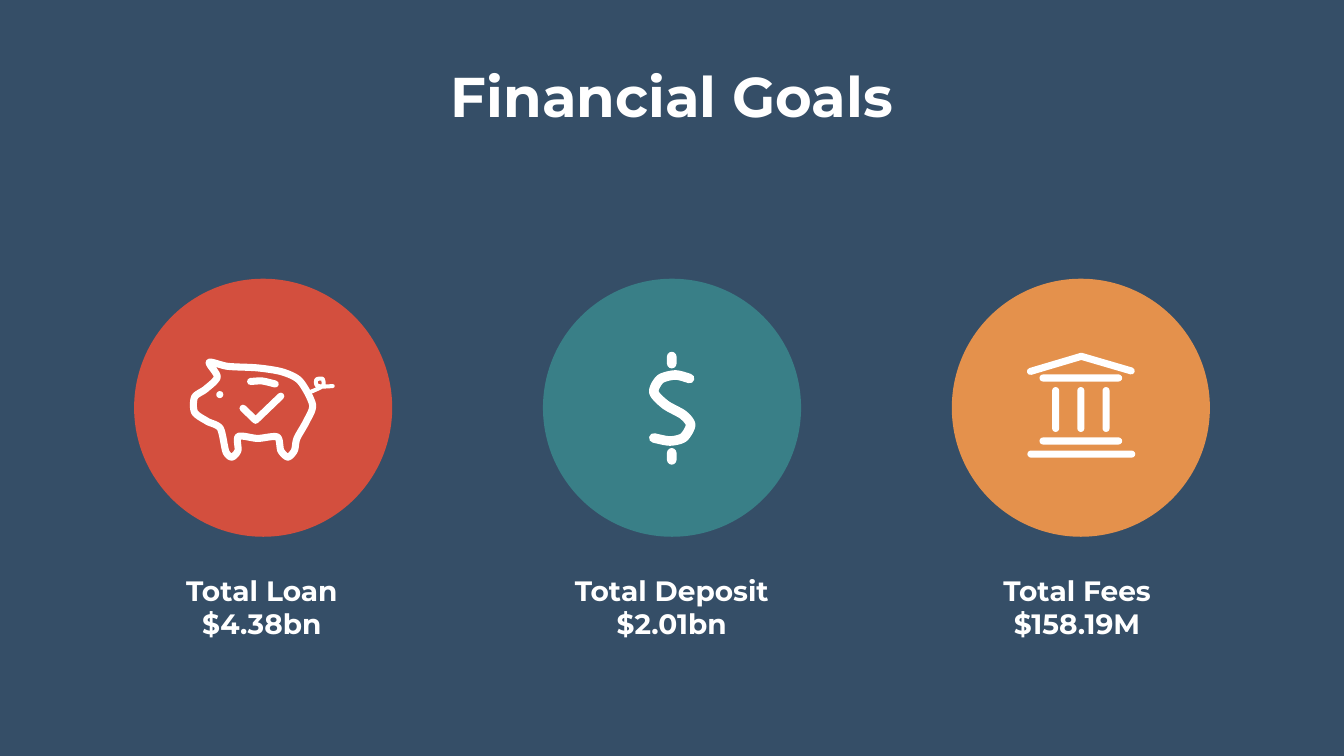
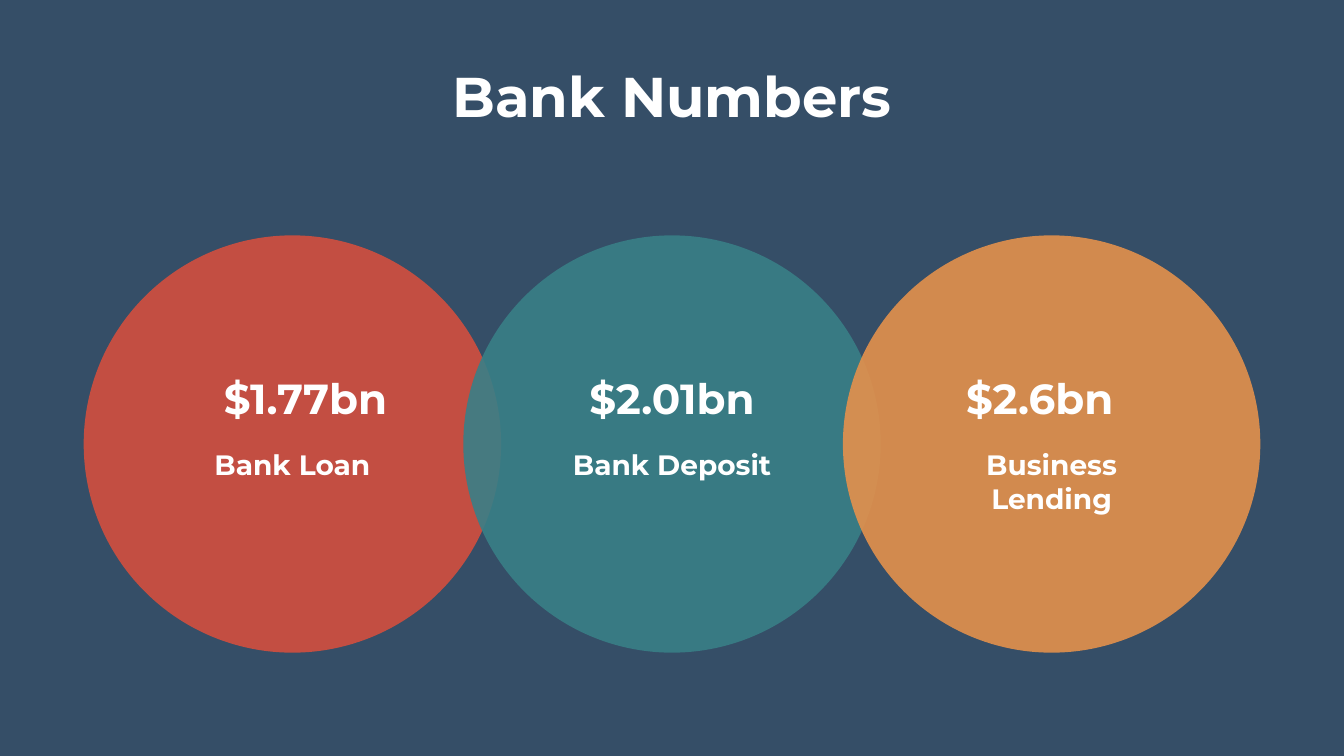
from dataclasses import dataclass

import lxml.etree
import pptx
import pptx.dml.color
import pptx.enum.shapes
import pptx.enum.text
import pptx.oxml.ns
import pptx.util

Inches = pptx.util.Inches
Preset = pptx.enum.shapes.MSO_SHAPE
qn = pptx.oxml.ns.qn


@dataclass(frozen=True)
class Theme:
    width: float = 26.66
    height: float = 15
    font: str = "Montserrat"
    background: str = "354E67"
    white: str = "FFFFFF"
    accents: tuple = ("D34F3E", "397F87", "E4914C")
    title_size: int = 80
    number_size: int = 60
    label_size: int = 40
    label_width: float = 4.77


# Centre lines of the icon strokes
DOLLAR_CURVE = [(13.68, 7.51), (13.4, 7.44), (13.1, 7.52), (12.97, 7.78), (13.2, 8.03),
                (13.55, 8.23), (13.7, 8.43), (13.56, 8.68), (13.29, 8.75), (12.97, 8.69)]
BANK_ROOF = [(20.44, 7.37), (21.45, 7.07), (22.44, 7.36)]
PIG_BODY = [(4.15, 7.19), (4.52, 7.27), (5.11, 7.3), (5.6, 7.38), (5.95, 7.56), (6.2, 8.03),
            (6.08, 8.36), (5.89, 8.7), (5.84, 8.94), (5.71, 9.07), (5.57, 8.94), (5.5, 8.67),
            (5.11, 8.7), (4.73, 8.66), (4.72, 8.94), (4.6, 9.07), (4.48, 8.96), (4.37, 8.5),
            (4.11, 8.36), (3.86, 8.18), (3.86, 7.88), (4.08, 7.72), (4.31, 7.48)]
PIG_TAIL = [(6.13, 7.79), (6.4, 7.66), (6.4, 7.52), (6.28, 7.53), (6.28, 7.64), (6.4, 7.67),
            (6.6, 7.66)]
PIG_SLOT = [(4.97, 7.57), (5.2, 7.56), (5.46, 7.62)]
CHECK_MARK = [(4.82, 8.1), (5.07, 8.34), (5.57, 7.86)]


def smooth_points(points, closed, steps=8, tension=0.4):
    """Return points along a soft curve that passes through every given point."""
    if closed:
        points = [points[-1], *points, *points[:2]]
    else:
        points = [points[0], *points, points[-1]]
    curve = [points[1]]
    for before, start, end, after in zip(points, points[1:], points[2:], points[3:]):
        for step in range(1, steps + 1):
            t = step / steps
            blend = t * t * (3 - 2 * t)
            leave, arrive = t * (1 - t) ** 2, t * t * (t - 1)
            curve.append(tuple(
                s + (e - s) * blend + tension * (leave * (e - b) + arrive * (a - s))
                for b, s, e, a in zip(before, start, end, after)))
    return curve


class Deck:
    def __init__(self, theme):
        self.theme = theme
        self.presentation = pptx.Presentation()
        self.presentation.slide_width = Inches(theme.width)
        self.presentation.slide_height = Inches(theme.height)
        self.slide = None

    def new_slide(self):
        self.slide = self.presentation.slides.add_slide(self.presentation.slide_layouts[6])
        self.shape(Preset.RECTANGLE, 0, 0, self.theme.width, self.theme.height,
                   self.theme.background)

    def group(self):
        return self.slide.shapes.add_group_shape()

    def color(self, value):
        return pptx.dml.color.RGBColor.from_string(value)

    def shape(self, preset, left, top, width, height, color, opacity=100, parent=None):
        shape = (parent or self.slide).shapes.add_shape(
            preset, Inches(left), Inches(top), Inches(width), Inches(height))
        shape.shadow.inherit = False
        shape.fill.solid()
        shape.fill.fore_color.rgb = self.color(color)
        shape.line.fill.background()
        if opacity < 100:
            fill_color = shape._element.spPr.find(qn("a:solidFill")).find(qn("a:srgbClr"))
            lxml.etree.SubElement(fill_color, qn("a:alpha"), val=str(opacity * 1000))
        return shape

    def bar(self, parent, left, top, width, height):
        bar = self.shape(Preset.ROUNDED_RECTANGLE, left, top, width, height,
                         self.theme.white, parent=parent)
        bar.adjustments[0] = 0.5

    def stroke(self, parent, points, thickness=0.14, smooth=True, closed=False):
        if smooth:
            points = smooth_points(points, closed)
        start, *others = [(Inches(x), Inches(y)) for x, y in points]
        builder = parent.shapes.build_freeform(*start)
        builder.add_line_segments(others, close=closed)
        shape = builder.convert_to_shape()
        shape.shadow.inherit = False
        shape.fill.background()
        shape.line.color.rgb = self.color(self.theme.white)
        shape.line.width = Inches(thickness)
        line = shape._element.spPr.find(qn("a:ln"))
        line.set("cap", "rnd")
        lxml.etree.SubElement(line, qn("a:round"))

    def text(self, text, left, top, width, height, size, parent=None):
        box = (parent or self.slide).shapes.add_textbox(
            Inches(left), Inches(top), Inches(width), Inches(height))
        frame = box.text_frame
        frame.word_wrap = True
        frame.auto_size = pptx.enum.text.MSO_AUTO_SIZE.SHAPE_TO_FIT_TEXT
        frame.text = text
        for paragraph in frame.paragraphs:
            paragraph.alignment = pptx.enum.text.PP_ALIGN.CENTER
            font = paragraph.runs[0].font
            font.name, font.size, font.bold = self.theme.font, pptx.util.Pt(size), True
            font.color.rgb = self.color(self.theme.white)

    def title(self, text):
        self.text(text, 2.46, 1.18, 21.74, 1.45, self.theme.title_size)

    def circles(self, left, top, diameter, pitch, opacity=100):
        for index, color in enumerate(self.theme.accents):
            self.shape(Preset.OVAL, left + index * pitch, top, diameter, diameter, color, opacity)


# Icons
def draw_dollar(deck):
    icon = deck.group()
    deck.stroke(icon, DOLLAR_CURVE, thickness=0.19)
    for top in (6.98, 8.89):
        deck.bar(icon, 13.23, top, 0.19, 0.33)


def draw_bank(deck):
    icon = deck.group()
    for left, top, width in ((20.62, 8.68, 1.64), (20.62, 7.43, 1.64), (20.38, 8.94, 2.14)):
        deck.bar(icon, left, top, width, 0.14)
    for column in range(3):
        deck.bar(icon, 20.87 + column * 0.5, 7.68, 0.14, 0.89)
    deck.stroke(icon, BANK_ROOF, smooth=False)


def draw_pig(deck):
    icon = deck.group()
    deck.stroke(icon, PIG_BODY, closed=True)
    deck.stroke(icon, PIG_TAIL, thickness=0.08)
    deck.shape(Preset.OVAL, 4.29, 7.76, 0.14, 0.14, deck.theme.white, parent=icon)
    deck.stroke(icon, PIG_SLOT)
    deck.stroke(icon, CHECK_MARK, smooth=False)


# Slides
def build_goals(deck):
    theme = deck.theme
    deck.new_slide()
    deck.circles(2.66, 5.53, 5.12, 8.11)
    draw_dollar(deck)
    draw_bank(deck)
    draw_pig(deck)
    for left, goal in ((2.81, "Total Loan\n$4.38bn"), (10.94, "Total Deposit\n$2.01bn"),
                       (18.98, "Total Fees\n$158.19M")):
        deck.text(goal, left, 11.32, theme.label_width, 1.45, theme.label_size)
    deck.title("Financial Goals")


def build_numbers(deck):
    theme = deck.theme
    left, diameter, pitch = 1.66, 8.28, 7.53
    deck.new_slide()
    deck.circles(left, 4.67, diameter, pitch, opacity=90)
    captions = deck.group()
    for number, number_left, width in (("$1.77bn", 4.22, 3.68), ("$2.01bn", 11.23, 4.2),
                                       ("$2.6bn", 18.76, 3.73)):
        deck.text(number, number_left, 7.35, width, 1.11, theme.number_size, captions)
    label_left = left + (diameter - theme.label_width) / 2
    for index, label in enumerate(("Bank Loan", "Bank Deposit", "Business Lending")):
        deck.text(label, label_left + index * pitch, 8.83, theme.label_width, 0.77,
                  theme.label_size, captions)
    deck.title("Bank Numbers")


def main():
    deck = Deck(Theme())
    build_goals(deck)
    build_numbers(deck)
    deck.presentation.save("out.pptx")


if __name__ == "__main__":
    main()
